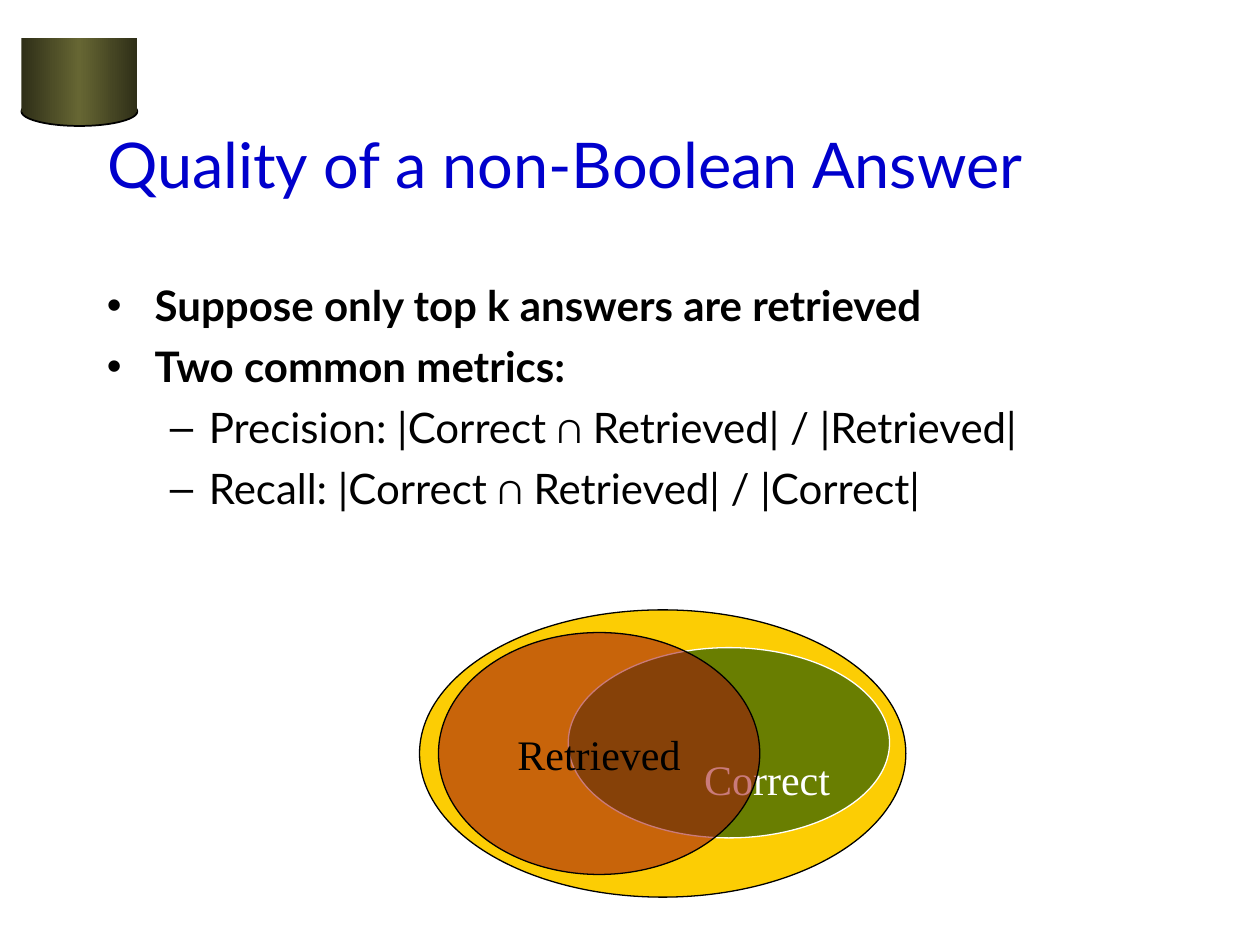
from lxml import etree
from pptx import Presentation
from pptx.dml.color import RGBColor
from pptx.enum.shapes import MSO_SHAPE
from pptx.enum.text import MSO_ANCHOR, PP_ALIGN
from pptx.oxml.ns import qn
from pptx.util import Inches, Pt

OVAL, RECTANGLE = MSO_SHAPE.OVAL, MSO_SHAPE.RECTANGLE
LEFT, CENTER, RIGHT = PP_ALIGN.LEFT, PP_ALIGN.CENTER, PP_ALIGN.RIGHT
MIDDLE, BOTTOM = MSO_ANCHOR.MIDDLE, MSO_ANCHOR.BOTTOM

BLACK = RGBColor(0, 0, 0)
WHITE = RGBColor(0xFF, 0xFF, 0xFF)
BLUE = RGBColor(0x00, 0x00, 0xCC)
YELLOW = RGBColor(0xFC, 0xCD, 0x04)
GREEN = RGBColor(0x00, 0x45, 0x00)
RED = RGBColor(0x9F, 0x0F, 0x0F)
OLIVE = RGBColor(0x66, 0x66, 0x33)
DARK_OLIVE = RGBColor(0x2F, 0x2F, 0x18)

BODY_FONT, LABEL_FONT = "Lato", "Times New Roman"
TITLE = "Quality of a non-Boolean Answer"
POINTS = [
    (0, "Suppose only top k answers are retrieved"),
    (0, "Two common metrics:"),
    (1, "Precision: |Correct ∩ Retrieved| / |Retrieved|"),
    (1, "Recall: |Correct ∩ Retrieved| / |Correct|"),
]
# Per level: bullet, text indent and hanging width in inches, bold
LEVELS = [("•", 0.38, 0.38, True), ("–", 0.81, 0.31, False)]

TITLE_BOX = (0.75, 0.67, 8.5, 1.25)
BODY_BOX = (0.75, 2.17, 8.5, 4.5)
CYLINDER = [(OVAL, (0.17, 0.77, 0.92, 0.23)), (RECTANGLE, (0.17, 0.3, 0.92, 0.59))]
# Box, fill, opacity in percent, line colour
ALL_ANSWERS = ((3.33, 4.84, 3.86, 2.28), YELLOW, 100, BLACK)
CORRECT = ((4.51, 5.14, 2.55, 1.51), GREEN, 58, WHITE)
RETRIEVED = ((3.48, 5.02, 2.55, 1.92), RED, 55, BLACK)


def inches(box):
    return [Inches(value) for value in box]


def style_text(paragraph, font_name, size, color, bold=False):
    for run in paragraph.runs:
        run.font.name = font_name
        run.font.size = Pt(size)
        run.font.color.rgb = color
        run.font.bold = bold


def add_title(slide):
    title = slide.shapes.title
    title.left, title.top, title.width, title.height = inches(TITLE_BOX)
    title.text_frame.text = TITLE
    title.text_frame.vertical_anchor = MIDDLE
    paragraph = title.text_frame.paragraphs[0]
    paragraph.alignment = LEFT
    style_text(paragraph, BODY_FONT, 36, BLUE)


def add_bullet(paragraph, character, indent, hanging):
    properties = paragraph._p.get_or_add_pPr()
    properties.set("marL", str(Inches(indent)))
    properties.set("indent", str(-Inches(hanging)))
    etree.SubElement(properties, qn("a:buFont"), typeface="Arial")
    etree.SubElement(properties, qn("a:buChar"), char=character)


def add_points(slide):
    frame = slide.shapes.add_textbox(*inches(BODY_BOX)).text_frame
    frame.word_wrap = True
    frame.text = "\n".join(text for _, text in POINTS)
    for paragraph, (level, _) in zip(frame.paragraphs, POINTS):
        character, indent, hanging, bold = LEVELS[level]
        paragraph.level = level
        paragraph.space_before = Pt(6)
        add_bullet(paragraph, character, indent, hanging)
        style_text(paragraph, BODY_FONT, 24, BLACK, bold)


def fill_cylinder(shape):
    """Shade from dark edges to a light middle."""
    shape.fill.gradient()
    shape.fill.gradient_angle = 0
    stops = shape._element.spPr.find(".//" + qn("a:gsLst"))
    for stop in list(stops):
        stops.remove(stop)
    for percent, color in ((0, DARK_OLIVE), (50, OLIVE), (100, DARK_OLIVE)):
        stop = etree.SubElement(stops, qn("a:gs"), pos=str(percent * 1000))
        etree.SubElement(stop, qn("a:srgbClr"), val=str(color))


def add_cylinder(slide):
    group = slide.shapes.add_group_shape()
    for kind, box in CYLINDER:
        shape = group.shapes.add_shape(kind, *inches(box))
        shape.shadow.inherit = False
        fill_cylinder(shape)
        if kind == OVAL:
            shape.line.color.rgb = BLACK
            shape.line.width = Pt(1)
        else:
            shape.line.fill.background()


def add_set(slide, box, fill, opacity, line):
    shape = slide.shapes.add_shape(OVAL, *inches(box))
    shape.shadow.inherit = False
    shape.fill.solid()
    shape.fill.fore_color.rgb = fill
    if opacity < 100:
        color = shape._element.spPr.find(qn("a:solidFill")).find(qn("a:srgbClr"))
        etree.SubElement(color, qn("a:alpha"), val=str(opacity * 1000))
    shape.line.color.rgb = line
    shape.line.width = Pt(0.75)
    return shape


def label_set(shape, text, anchor, alignment, color):
    frame = shape.text_frame
    frame.word_wrap = False
    frame.vertical_anchor = anchor
    frame.text = text
    paragraph = frame.paragraphs[0]
    paragraph.alignment = alignment
    style_text(paragraph, LABEL_FONT, 24, color)


def main():
    presentation = Presentation()
    presentation.slide_width, presentation.slide_height = Inches(10), Inches(7.5)
    slide = presentation.slides.add_slide(presentation.slide_layouts[5])
    add_cylinder(slide)
    add_title(slide)
    add_points(slide)
    add_set(slide, *ALL_ANSWERS)
    label_set(add_set(slide, *CORRECT), "Correct", BOTTOM, RIGHT, WHITE)
    label_set(add_set(slide, *RETRIEVED), "Retrieved", MIDDLE, CENTER, BLACK)
    presentation.save("out.pptx")


if __name__ == "__main__":
    main()
